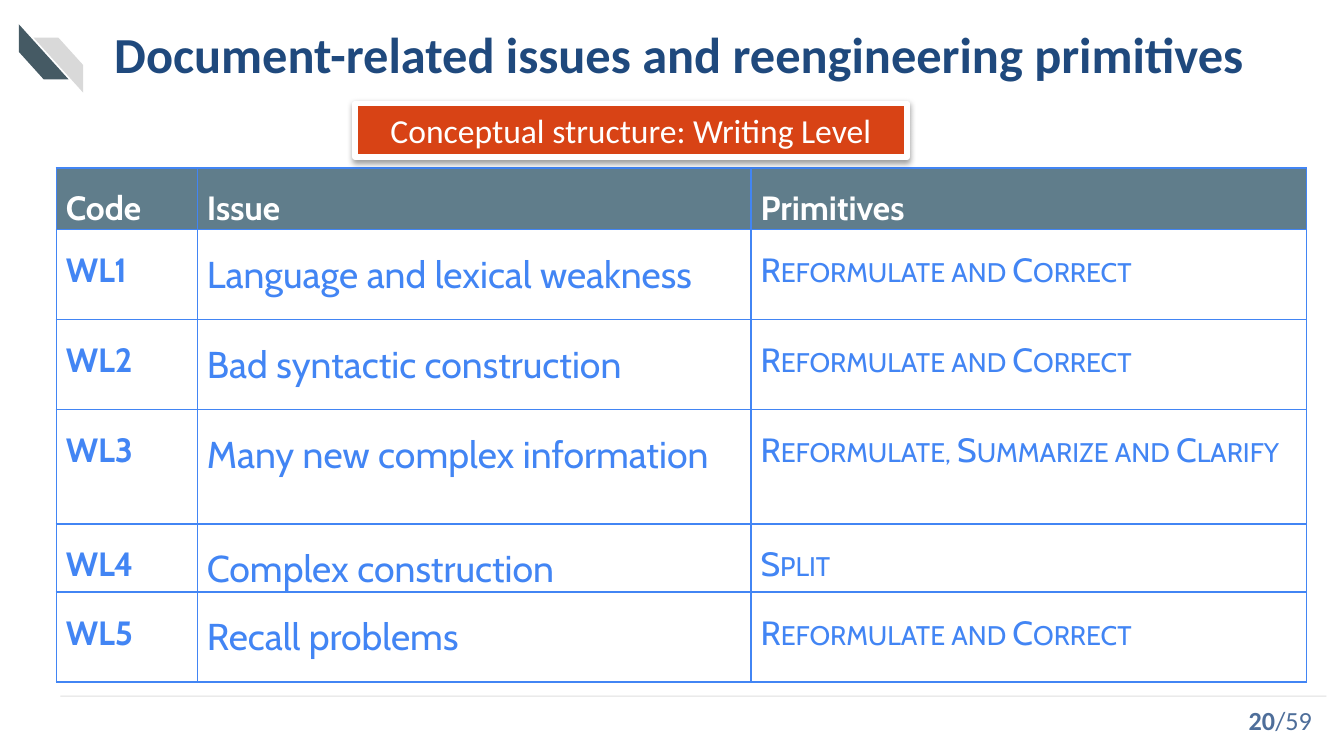
from lxml.etree import SubElement
from pptx import Presentation
from pptx.dml.color import RGBColor
from pptx.enum.shapes import MSO_CONNECTOR, MSO_SHAPE
from pptx.enum.text import MSO_ANCHOR, MSO_AUTO_SIZE, PP_ALIGN
from pptx.oxml.ns import qn
from pptx.util import Inches, Pt

COLORS = {
    "navy": "1F497D", "slate": "455A64", "head": "607D8B", "blue": "4285F4",
    "grey": "D9D9D9", "orange": "D84315", "page": "4E6E9A",
    "white": "FFFFFF", "black": "000000",
}


def add_run(para, text, size, color, font="Calibri", bold=False):
    run = para.add_run()
    run.text = text
    run.font.name = font
    run.font.size = Pt(size)
    run.font.bold = bold
    run.font.color.rgb = RGBColor.from_string(COLORS[color])
    return run


def add_node(parent, tag, **attrs):
    node = SubElement(parent, qn(tag))
    for key, value in attrs.items():
        node.set(key, str(value))
    return node


# Widescreen 16:9 slide
deck = Presentation()
deck.slide_width = Inches(10)
deck.slide_height = Inches(10) * 9 // 16
slide = deck.slides.add_slide(deck.slide_layouts[5])
shapes = slide.shapes

# Corner stripes
for left, top, width, height, turn, color in (
    (0.12, 0.2, 0.41, 0.37, 270, "slate"),
    (0.25, 0.28, 0.37, 0.41, 0, "grey"),
):
    stripe = shapes.add_shape(MSO_SHAPE.DIAGONAL_STRIPE, Inches(left), Inches(top),
                              Inches(width), Inches(height))
    stripe.shadow.inherit = False
    stripe.fill.solid()
    stripe.fill.fore_color.rgb = RGBColor.from_string(COLORS[color])
    stripe.line.fill.background()
    stripe.rotation = turn
    if not turn:
        stripe._element.spPr.find(qn("a:xfrm")).set("flipH", "1")

# Footer rule
rule = shapes.add_connector(MSO_CONNECTOR.STRAIGHT, Inches(9.87), Inches(5.18),
                            Inches(0.45), Inches(5.18))
rule.line.width = Pt(0.5)
rule.line.color.rgb = RGBColor.from_string(COLORS["grey"])
tint = next(rule._element.spPr.iter(qn("a:srgbClr")))
add_node(tint, "a:alpha", val=83000)
add_node(rule._element.spPr, "a:effectLst")

# Title
title = shapes.title
title.left, title.top = Inches(0.85), Inches(0.08)
title.width, title.height = Inches(8.9), Inches(0.63)
frame = title.text_frame
frame.auto_size = MSO_AUTO_SIZE.NONE
frame.vertical_anchor = MSO_ANCHOR.MIDDLE
frame.margin_left = frame.margin_right = frame.margin_top = frame.margin_bottom = 0
para = frame.paragraphs[0]
para.alignment = PP_ALIGN.LEFT
add_run(para, "Document-related issues and reengineering primitives", 27, "navy", bold=True)

# Table of issues
fix = "Reformulate and Correct"
rows = [
    ("Code", "Issue", "Primitives"),
    ("WL1", "Language and lexical weakness", fix),
    ("WL2", "Bad syntactic construction", fix),
    ("WL3", "Many new complex information", "Reformulate, Summarize and Clarify"),
    ("WL4", "Complex construction", "Split"),
    ("WL5", "Recall problems", fix),
]
table = shapes.add_table(len(rows), 3, Inches(0.42), Inches(1.25),
                         Inches(9.3), Inches(3.75)).table
table.first_row = table.horz_banding = False
for col, width in zip(table.columns, (1.05, 4.12, 4.13)):
    col.width = Inches(width)
for row, height in zip(table.rows, (0.42, 0.67, 0.67, 0.85, 0.47, 0.67)):
    row.height = Inches(height)

for i, texts in enumerate(rows):
    for j, text in enumerate(texts):
        cell = table.cell(i, j)
        cell.margin_left = cell.margin_right = Inches(0.07)
        cell.margin_top = cell.margin_bottom = 0
        props = cell._tc.get_or_add_tcPr()
        for side in "LRTB":
            edge = add_node(props, f"a:ln{side}", w=Pt(1))
            add_node(add_node(edge, "a:solidFill"), "a:srgbClr", val=COLORS["blue"])
        cell.fill.solid()
        cell.fill.fore_color.rgb = RGBColor.from_string(COLORS["white" if i else "head"])
        para = cell.text_frame.paragraphs[0]
        para.line_spacing = 1.5
        run = add_run(para, text, 20 if i and j == 1 else 18,
                      "blue" if i else "white", "Cabin", i == 0 or j == 0)
        if i and j == 2:
            run.font._element.set("cap", "small")

# Banner
banner = shapes.add_shape(MSO_SHAPE.RECTANGLE, Inches(2.64), Inches(0.77),
                          Inches(4.11), Inches(0.4))
banner.fill.solid()
banner.fill.fore_color.rgb = RGBColor.from_string(COLORS["orange"])
banner.line.color.rgb = RGBColor.from_string(COLORS["white"])
banner.line.width = Pt(3)
banner.shadow.inherit = False
glow = add_node(banner._element.spPr.find(qn("a:effectLst")), "a:outerShdw",
                blurRad=Pt(3.1), dist=Pt(1.6), dir=5400000, rotWithShape=0)
add_node(add_node(glow, "a:srgbClr", val=COLORS["black"]), "a:alpha", val=38000)
para = banner.text_frame.paragraphs[0]
para.alignment = PP_ALIGN.CENTER
add_run(para, "Conceptual structure: Writing Level", 18, "white")

# Page number
frame = shapes.add_textbox(Inches(7.06), Inches(5.21), Inches(2.8), Inches(0.3)).text_frame
frame.word_wrap = True
frame.vertical_anchor = MSO_ANCHOR.MIDDLE
para = frame.paragraphs[0]
para.alignment = PP_ALIGN.RIGHT
add_run(para, "20", 14, "page", bold=True)
add_run(para, "/59", 14, "page")

deck.save("out.pptx")
